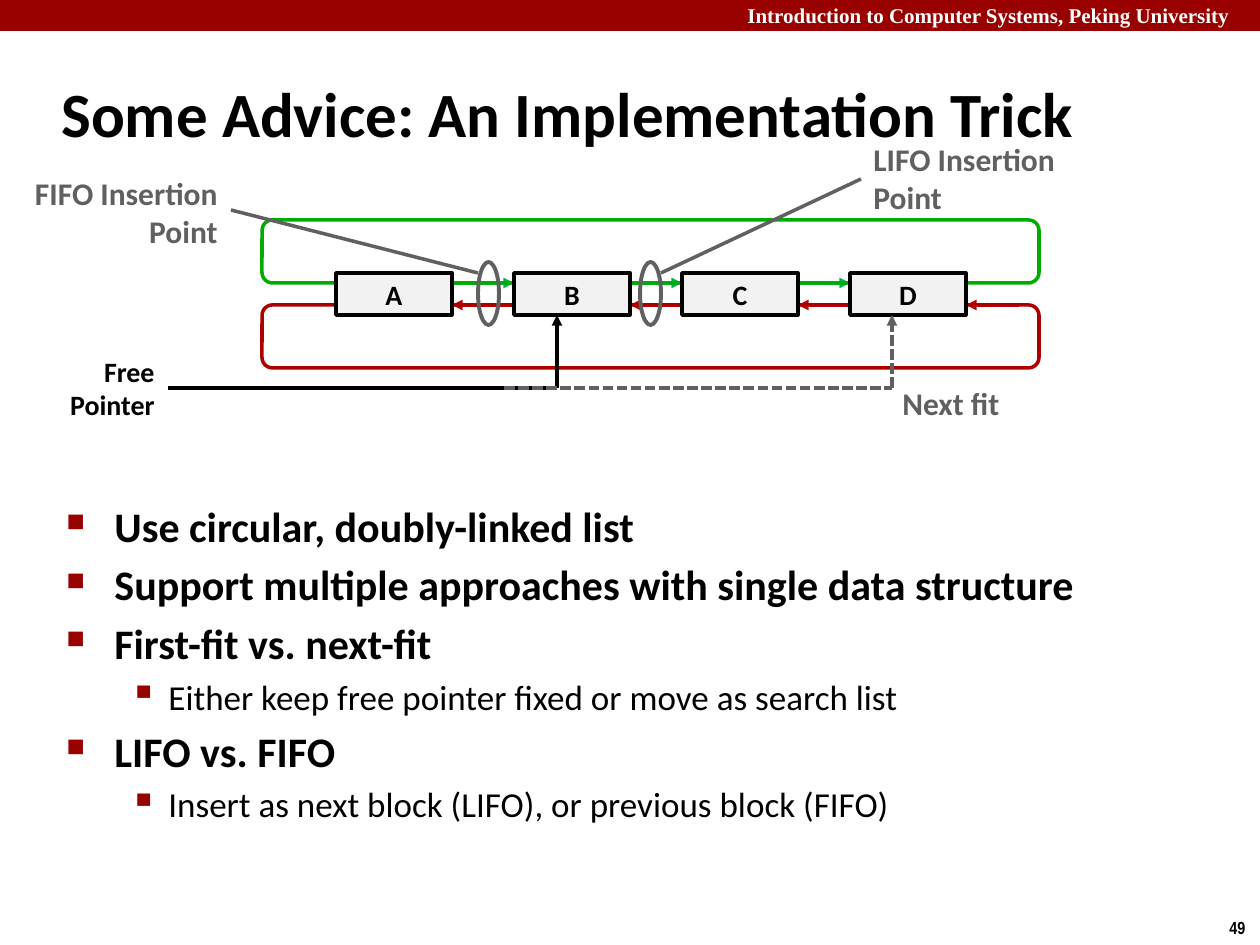
from lxml.etree import SubElement
from pptx import Presentation
from pptx.dml.color import RGBColor
from pptx.enum.dml import MSO_LINE
from pptx.enum.shapes import MSO_CONNECTOR, MSO_SHAPE
from pptx.enum.text import MSO_ANCHOR, PP_ALIGN
from pptx.oxml.ns import qn
from pptx.util import Emu, Pt

COLORS = {
    "crimson": "990000",
    "white": "FFFFFF",
    "black": "000000",
    "gray": "606060",
    "box": "F2F2F2",
    "next_arrow": "00B050",
    "previous_arrow": "C00000",
    "next_ring": "00AC00",
    "previous_ring": "AC0000",
}
BULLETS = [(48, 48, "■", 60, 24), (102, 39, "▪", 110, 20)]
ADVICE = [
    (0, "Use circular, doubly-linked list"),
    (0, "Support multiple approaches with single data structure"),
    (0, "First-fit vs. next-fit"),
    (1, "Either keep free pointer fixed or move as search list"),
    (0, "LIFO vs. FIFO"),
    (1, "Insert as next block (LIFO), or previous block (FIFO)"),
]


def px(length):
    """Turn px into EMU."""
    return Emu(round(length * 914400 / 126))


def color(name):
    """Return a named color."""
    return RGBColor.from_string(COLORS[name])


def format_paragraph(paragraph, size, color_name, font="Calibri", bold=True):
    """Format every run of a paragraph."""
    for run in paragraph.runs:
        run.font.name = font
        run.font.size = Pt(size)
        run.font.bold = bold
        run.font.color.rgb = color(color_name)


def add_text(slide, box, text, size, color_name, font="Calibri",
             align=PP_ALIGN.LEFT, wrap=True):
    """Add a text box and return its text frame."""
    text_frame = slide.shapes.add_textbox(*map(px, box)).text_frame
    text_frame.word_wrap = wrap
    text_frame.text = text
    for paragraph in text_frame.paragraphs:
        paragraph.alignment = align
        format_paragraph(paragraph, size, color_name, font)
    return text_frame


def add_figure(slide, kind, box, fill=None, line=None, width=2):
    """Add a preset shape without shadow."""
    shape = slide.shapes.add_shape(kind, *map(px, box))
    shape.shadow.inherit = False
    if fill:
        shape.fill.solid()
        shape.fill.fore_color.rgb = color(fill)
    else:
        shape.fill.background()
    if line:
        shape.line.color.rgb = color(line)
        shape.line.width = Pt(width)
    else:
        shape.line.fill.background()
    return shape


def add_line(slide, start, end, color_name, arrow=False, dashed=False):
    """Add a straight line, with an arrowhead at its end if asked."""
    line = slide.shapes.add_connector(
        MSO_CONNECTOR.STRAIGHT, *map(px, (*start, *end)))
    line.line.color.rgb = color(color_name)
    line.line.width = Pt(2)
    if dashed:
        line.line.dash_style = MSO_LINE.SQUARE_DOT
    if arrow:
        SubElement(line.line._get_or_add_ln(), qn("a:tailEnd"), type="triangle")
    SubElement(line._element.spPr, qn("a:effectLst"))


def add_header(slide, left, top, width, height):
    """Draw the course banner."""
    add_figure(slide, MSO_SHAPE.RECTANGLE, (left, top, width, height), "crimson")
    add_text(slide, (left + 735, top - 4, 534, 38),
             "Introduction to Computer Systems, Peking University",
             12, "white", "Times New Roman")


def add_title(slide, left, top, width, height):
    """Write the slide title."""
    text_frame = add_text(slide, (left, top, width, height),
                          "Some Advice: An Implementation Trick", 36, "black")
    text_frame.vertical_anchor = MSO_ANCHOR.MIDDLE


def add_list_diagram(slide, left, top, width, height):
    """Draw the circular doubly-linked list of four blocks."""
    block_width, block_height = 116, 42
    ring_height = 63
    next_y, previous_y = top + ring_height, top + height - ring_height
    blocks = [left + offset for offset in (74, 252, 420, 588)]
    for block, following in zip(blocks, blocks[1:]):
        edge = block + block_width
        add_line(slide, (edge, next_y), (following, next_y), "next_arrow", arrow=True)
        add_line(slide, (following, previous_y), (edge, previous_y),
                 "previous_arrow", arrow=True)
    edge = blocks[-1] + block_width
    add_line(slide, (edge + 53, previous_y), (edge, previous_y),
             "previous_arrow", arrow=True)
    for ring_top, name in ((top, "next_ring"), (previous_y, "previous_ring")):
        add_figure(slide, MSO_SHAPE.ROUNDED_RECTANGLE,
                   (left, ring_top, width, ring_height), line=name)
    for block, letter in zip(blocks, "ABCD"):
        shape = add_figure(slide, MSO_SHAPE.RECTANGLE,
                           (block, top + 53, block_width, block_height),
                           "box", "black")
        text_frame = shape.text_frame
        text_frame.text = letter
        text_frame.word_wrap = False
        text_frame.vertical_anchor = MSO_ANCHOR.MIDDLE
        text_frame.paragraphs[0].alignment = PP_ALIGN.CENTER
        format_paragraph(text_frame.paragraphs[0], 16, "black")


def add_pointer(slide, left, top, width, height, color_name, dashed=False):
    """Draw a line along the bottom that turns up into a block."""
    corner = (left + width, top + height)
    add_line(slide, corner, (left + width, top), color_name, True, dashed)
    add_line(slide, (left, top + height), corner, color_name, dashed=dashed)


def add_insertion_point(slide, left, top, width, height, name, label_box, start, side):
    """Ring a pair of links and tie it to its label."""
    add_figure(slide, MSO_SHAPE.OVAL, (left, top, width, height),
               line="gray", width=2.25)
    add_line(slide, start, (left + side * width, top + 11), "gray")
    align = PP_ALIGN.LEFT if side else PP_ALIGN.RIGHT
    add_text(slide, label_box, f"{name} Insertion\nPoint", 18, "gray", align=align)


def add_advice(slide, left, top, width, height):
    """Write the bulleted advice."""
    text = "\n".join(line for _, line in ADVICE)
    text_frame = add_text(slide, (left, top, width, height), text, 24, "black")
    for index, (level, _) in enumerate(ADVICE):
        margin, hanging, bullet, percent, size = BULLETS[level]
        paragraph = text_frame.paragraphs[index]
        paragraph.level = level
        properties = paragraph._p.get_or_add_pPr()
        properties.set("marL", str(px(margin)))
        properties.set("indent", str(px(-hanging)))
        bullet_color = SubElement(properties, qn("a:buClr"))
        SubElement(bullet_color, qn("a:srgbClr"), val=COLORS["crimson"])
        SubElement(properties, qn("a:buSzPct"), val=str(percent * 1000))
        SubElement(properties, qn("a:buChar"), char=bullet)
        if index:
            paragraph.space_before = Pt(size * 0.2)
        format_paragraph(paragraph, size, "black", bold=level == 0)


def main():
    """Build and save the slide."""
    presentation = Presentation()
    presentation.slide_width, presentation.slide_height = px(1260), px(945)
    slide = presentation.slides.add_slide(presentation.slide_layouts[6])
    add_header(slide, 0, 0, 1260, 31)
    add_text(slide, (1217, 911, 43, 34), "49", 10, "black", "Arial Narrow", wrap=False)
    add_title(slide, 49, 60, 1046, 105)
    add_advice(slide, 54, 494, 1089, 379)
    add_list_diagram(slide, 262, 220, 777, 148)
    add_pointer(slide, 168, 315, 389, 73, "black")
    add_text(slide, (55, 348, 112, 81), "Free\nPointer", 16, "black",
             align=PP_ALIGN.RIGHT, wrap=False)
    add_insertion_point(slide, 478, 262, 21, 63, "FIFO",
                        (10, 168, 220, 89), (231, 210), 0)
    add_insertion_point(slide, 640, 262, 21, 63, "LIFO",
                        (861, 134, 220, 89), (861, 179), 1)
    add_pointer(slide, 504, 315, 388, 73, "gray", dashed=True)
    add_text(slide, (890, 378, 123, 50), "Next fit", 18, "gray", wrap=False)
    presentation.save("out.pptx")


if __name__ == "__main__":
    main()
